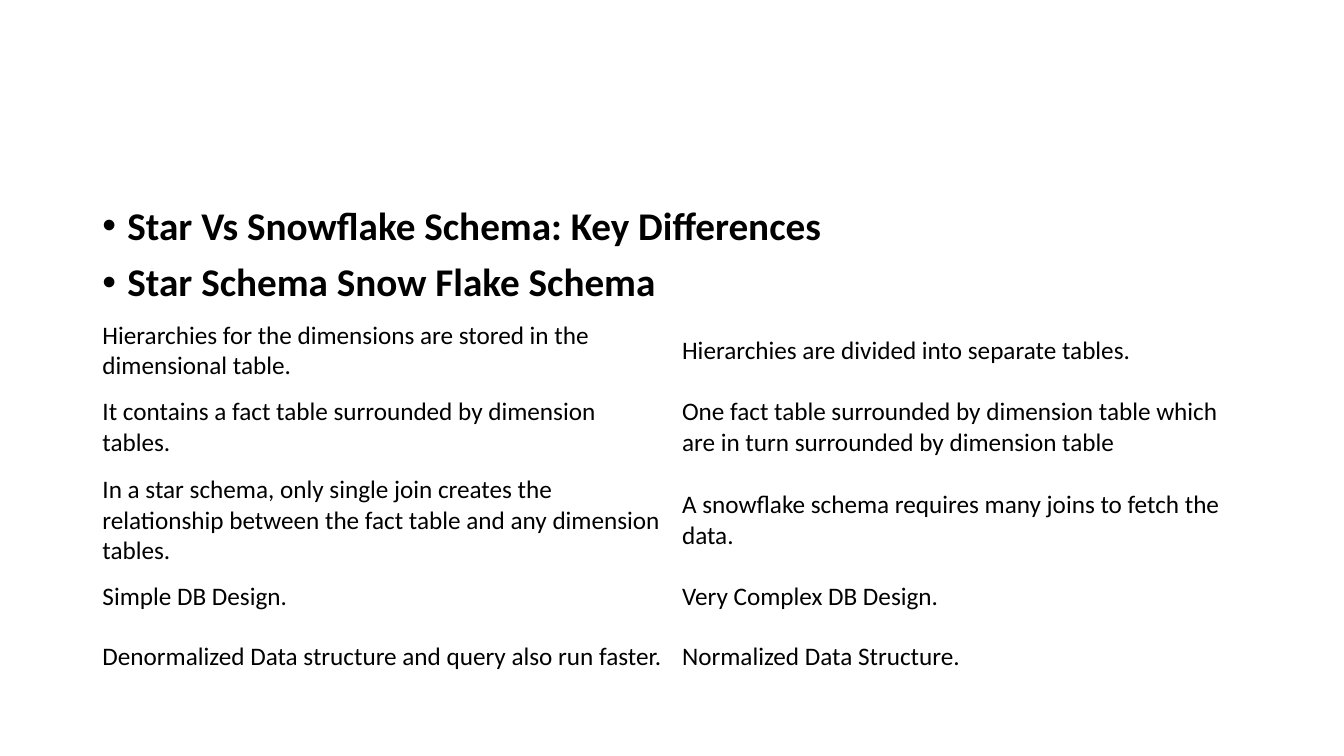
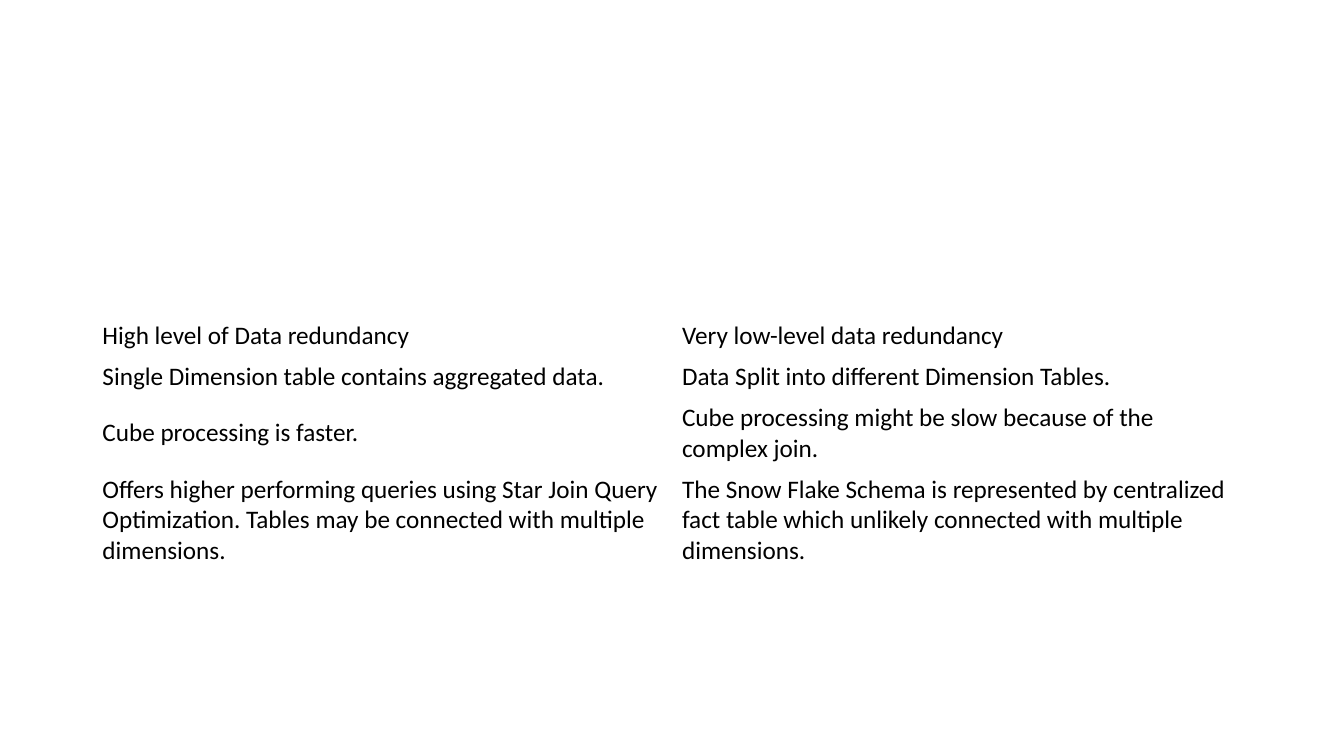
from dataclasses import dataclass

import lxml.etree
import pptx
import pptx.dml.color
import pptx.enum.text
import pptx.oxml.ns
import pptx.slide
import pptx.text.text
import pptx.util

Pt = pptx.util.Pt

# Shared style
COLOURS = {"text": "000000", "background": "FFFFFF"}
FONT = "Calibri"
HEADING_SIZE = 28
CELL_SIZE = 18
SLIDE_WIDTH, SLIDE_HEIGHT = 960, 540
LEFT = 66
COLUMN_WIDTH = 414
BULLET_INDENT = 18


@dataclass(frozen=True)
class Row:
    height: float
    star: str
    snowflake: str


@dataclass(frozen=True)
class Comparison:
    top: float
    rows: tuple[Row, ...]
    headings: tuple[str, ...] = ()


# Slide content
COMPARISONS = (
    Comparison(
        top=223.2,
        headings=(
            "Star Vs Snowflake Schema: Key Differences",
            "Star Schema Snow Flake Schema",
        ),
        rows=(
            Row(54.7, "Hierarchies for the dimensions are stored in the dimensional table.",
                "Hierarchies are divided into separate tables."),
            Row(54.7, "It contains a fact table surrounded by dimension tables.",
                "One fact table surrounded by dimension table which "
                "are in turn surrounded by dimension table"),
            Row(78.5, "In a star schema, only single join creates the relationship "
                "between the fact table and any dimension tables.",
                "A snowflake schema requires many joins to fetch the data."),
            Row(31, "Simple DB Design.", "Very Complex DB Design."),
            Row(54.7, "Denormalized Data structure and query also run faster.",
                "Normalized Data Structure."),
        ),
    ),
    Comparison(
        top=225.4,
        rows=(
            Row(29.2, "High level of Data redundancy", "Very low-level data redundancy"),
            Row(29.2, "Single Dimension table contains aggregated data.",
                "Data Split into different Dimension Tables."),
            Row(51.2, "Cube processing is faster.",
                "Cube processing might be slow because of the complex join."),
            Row(73.2, "Offers higher performing queries using Star Join Query Optimization. "
                "Tables may be connected with multiple dimensions.",
                "The Snow Flake Schema is represented by centralized fact table "
                "which unlikely connected with multiple dimensions."),
        ),
    ),
)


def colour(name: str) -> pptx.dml.color.RGBColor:
    return pptx.dml.color.RGBColor.from_string(COLOURS[name])


def set_font(paragraph: pptx.text.text._Paragraph, size: float, bold: bool = False) -> None:
    paragraph.font.name = FONT
    paragraph.font.size = Pt(size)
    paragraph.font.bold = bold
    paragraph.font.color.rgb = colour("text")


def add_bullet(paragraph: pptx.text.text._Paragraph) -> None:
    properties = paragraph._p.get_or_add_pPr()
    properties.set("marL", str(Pt(BULLET_INDENT)))
    properties.set("indent", str(-Pt(BULLET_INDENT)))
    for tag, attribute, value in (("a:buFont", "typeface", "Arial"), ("a:buChar", "char", "•")):
        bullet = lxml.etree.Element(pptx.oxml.ns.qn(tag), {attribute: value})
        properties.insert_element_before(bullet, "a:tabLst", "a:defRPr", "a:extLst")


def add_headings(slide: pptx.slide.Slide, headings: tuple[str, ...]) -> None:
    shape = slide.shapes.add_textbox(Pt(LEFT), Pt(144), Pt(2 * COLUMN_WIDTH), Pt(342.7))
    text_frame = shape.text_frame
    text_frame.word_wrap = True
    for index, heading in enumerate(headings):
        paragraph = text_frame.add_paragraph() if index else text_frame.paragraphs[0]
        paragraph.text = heading
        paragraph.line_spacing = 0.9
        paragraph.space_before = Pt(10)
        set_font(paragraph, HEADING_SIZE, bold=True)
        add_bullet(paragraph)


def add_comparison_table(slide: pptx.slide.Slide, comparison: Comparison) -> None:
    rows = comparison.rows
    height = sum(row.height for row in rows)
    table = slide.shapes.add_table(
        len(rows), 2, Pt(LEFT), Pt(comparison.top), Pt(2 * COLUMN_WIDTH), Pt(height)
    ).table
    table.first_row = False
    table.horz_banding = False
    for column in table.columns:
        column.width = Pt(COLUMN_WIDTH)
    for row_index, row in enumerate(rows):
        table.rows[row_index].height = Pt(row.height)
        for column_index, text in enumerate((row.star, row.snowflake)):
            cell = table.cell(row_index, column_index)
            cell.fill.background()
            cell.vertical_anchor = pptx.enum.text.MSO_ANCHOR.MIDDLE
            cell.text = text
            set_font(cell.text_frame.paragraphs[0], CELL_SIZE)


def main() -> None:
    presentation = pptx.Presentation()
    presentation.slide_width = Pt(SLIDE_WIDTH)
    presentation.slide_height = Pt(SLIDE_HEIGHT)
    blank_layout = presentation.slide_layouts[6]
    for comparison in COMPARISONS:
        slide = presentation.slides.add_slide(blank_layout)
        slide.background.fill.solid()
        slide.background.fill.fore_color.rgb = colour("background")
        if comparison.headings:
            add_headings(slide, comparison.headings)
        add_comparison_table(slide, comparison)
    presentation.save("out.pptx")


if __name__ == "__main__":
    main()
